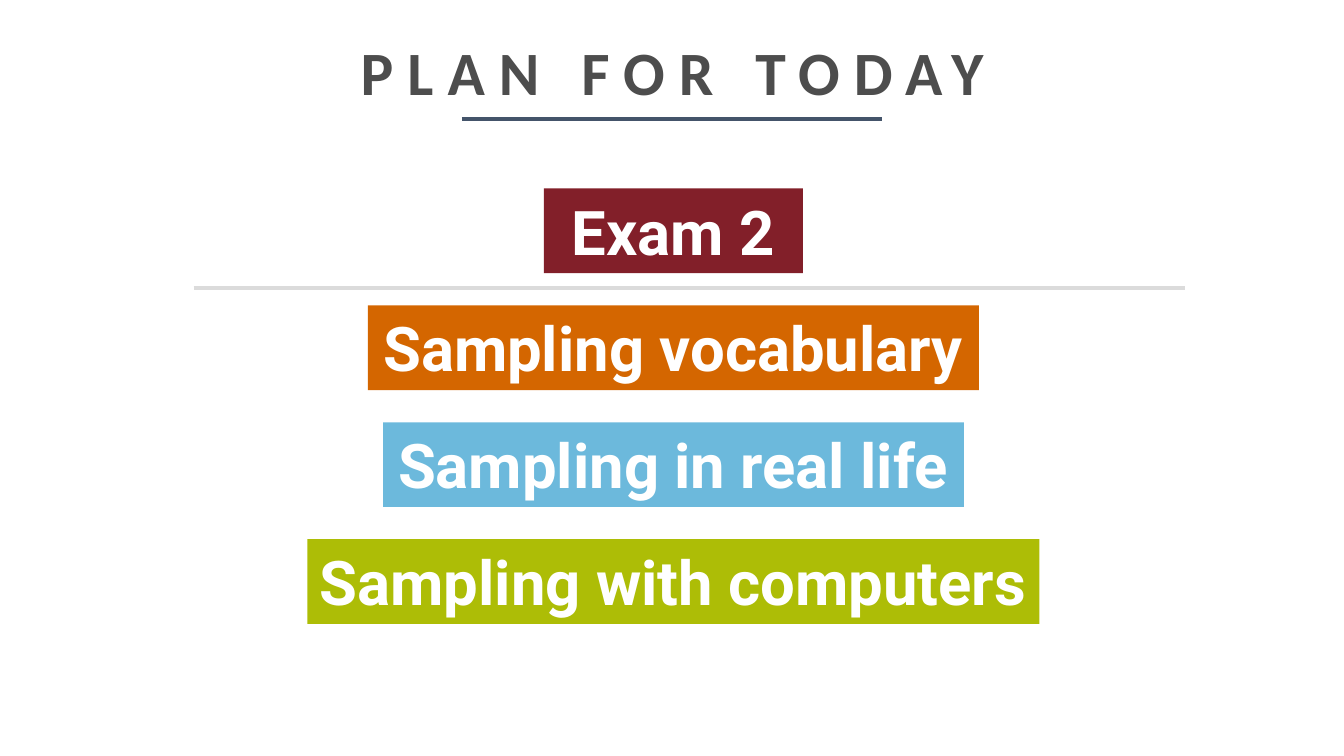
from lxml import etree
from pptx import Presentation
from pptx.dml.color import RGBColor
from pptx.enum.shapes import MSO_CONNECTOR as CONNECTOR, MSO_SHAPE as SHAPE
from pptx.enum.text import MSO_ANCHOR as ANCHOR, MSO_AUTO_SIZE as AUTO_SIZE, PP_ALIGN as ALIGN
from pptx.oxml.ns import qn
from pptx.util import Inches, Pt

CHARCOAL = RGBColor(0x4D, 0x4D, 0x4D)
SLATE = RGBColor(0x44, 0x54, 0x6A)
LIGHT_GRAY = RGBColor(0xDB, 0xDB, 0xDB)
WHITE = RGBColor(0xFF, 0xFF, 0xFF)
MAROON = RGBColor(0x82, 0x1F, 0x29)
ORANGE = RGBColor(0xD4, 0x66, 0x00)
SKY = RGBColor(0x6C, 0xB9, 0xDC)
LIME = RGBColor(0xAD, 0xBD, 0x06)

# Topic, banner width in inches, banner colour
TOPICS = [
    ("Exam 2", 2.57, MAROON),
    ("Sampling vocabulary", 6.06, ORANGE),
    ("Sampling in real life", 5.76, SKY),
    ("Sampling with computers", 7.26, LIME),
]
BANNER_CENTER = 6.68
BANNER_TOP = 1.87
BANNER_HEIGHT = 0.84
BANNER_STEP = 1.16


def format_text(frame, text, font_name, color):
    """Fill a frame with one centred, bold line and return its run."""
    frame.text = text
    frame.word_wrap = True
    paragraph = frame.paragraphs[0]
    paragraph.alignment = ALIGN.CENTER
    run = paragraph.runs[0]
    run.font.name = font_name
    run.font.size = Pt(44)
    run.font.bold = True
    run.font.color.rgb = color
    return run


def set_title(slide, text):
    title = slide.shapes.title
    title.left, title.top = Inches(0.92), Inches(0.17)
    title.width, title.height = Inches(11.5), Inches(1)
    frame = title.text_frame
    run = format_text(frame, text, "Calibri", CHARCOAL)
    frame.auto_size = AUTO_SIZE.NONE
    frame.vertical_anchor = ANCHOR.MIDDLE
    frame.paragraphs[0].line_spacing = 1.1
    # Letter spacing of 10 points
    run.font._element.set("spc", "1000")


def add_rule(slide, left, right, y, color):
    rule = slide.shapes.add_connector(
        CONNECTOR.STRAIGHT, Inches(left), Inches(y), Inches(right), Inches(y))
    rule.line.color.rgb = color
    rule.line.width = Pt(3)
    etree.SubElement(rule._element.spPr, qn("a:effectLst"))


def add_banner(slide, text, top, width, color):
    banner = slide.shapes.add_shape(
        SHAPE.RECTANGLE, Inches(BANNER_CENTER - width / 2), Inches(top),
        Inches(width), Inches(BANNER_HEIGHT))
    banner.shadow.inherit = False
    banner.fill.solid()
    banner.fill.fore_color.rgb = color
    banner.line.fill.background()
    frame = banner.text_frame
    format_text(frame, text, "Roboto", WHITE)
    frame.auto_size = AUTO_SIZE.SHAPE_TO_FIT_TEXT
    frame.vertical_anchor = ANCHOR.TOP


def main():
    deck = Presentation()
    deck.slide_width, deck.slide_height = Inches(13.33), Inches(7.5)
    slide = deck.slides.add_slide(deck.slide_layouts[5])

    # Heading with its underline
    set_title(slide, "PLAN FOR TODAY")
    add_rule(slide, 4.58, 8.75, 1.18, SLATE)

    # Divider between the exam and the sampling topics
    add_rule(slide, 1.92, 11.75, 2.86, LIGHT_GRAY)

    # Topic banners
    for row, (topic, width, color) in enumerate(TOPICS):
        add_banner(slide, topic, BANNER_TOP + row * BANNER_STEP, width, color)

    deck.save("out.pptx")


if __name__ == "__main__":
    main()
